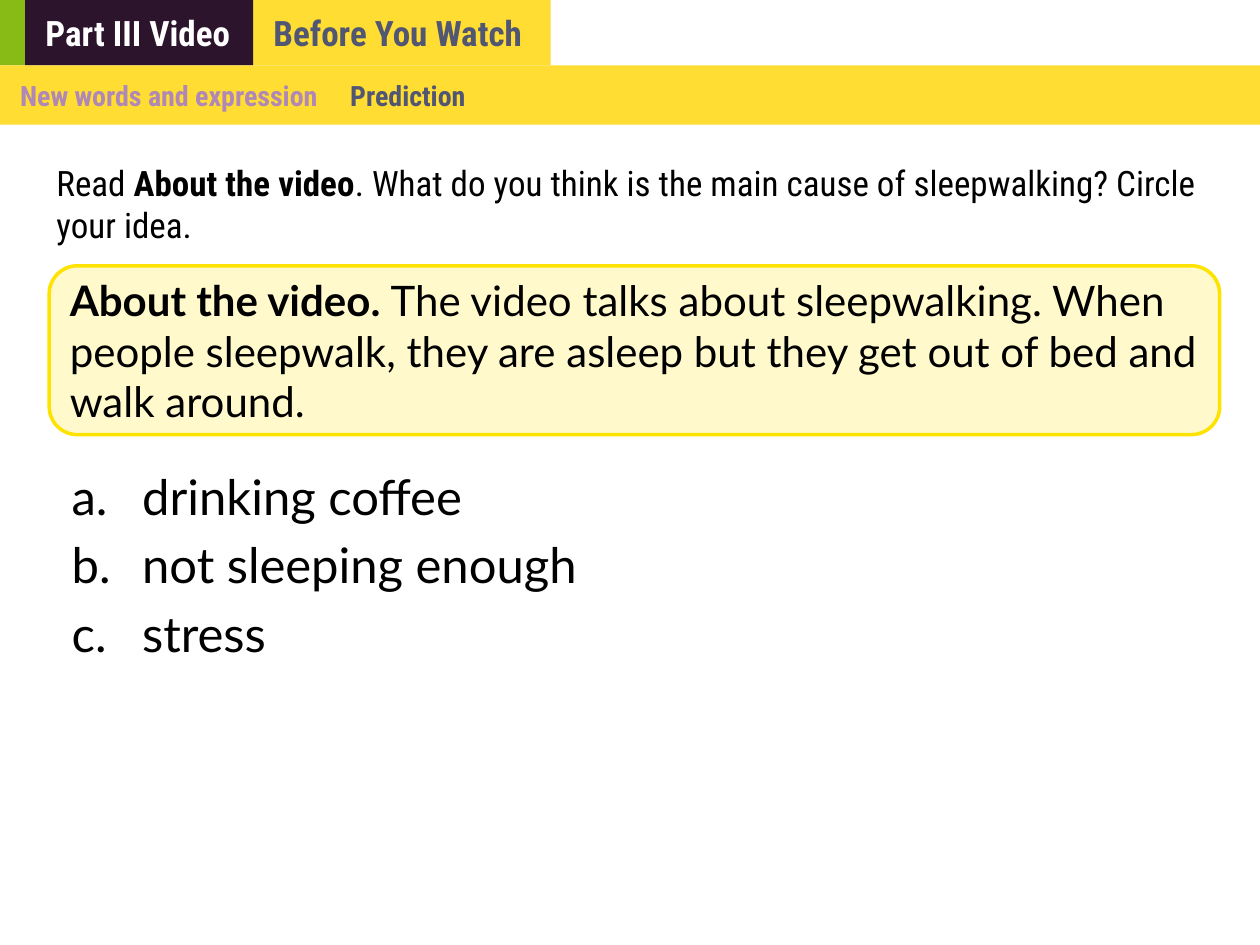
from pptx import Presentation
from pptx.dml.color import RGBColor
from pptx.enum.shapes import MSO_SHAPE as Shape
from pptx.enum.text import MSO_ANCHOR as Anchor, MSO_AUTO_SIZE as AutoSize, PP_ALIGN as Align
from pptx.oxml.ns import qn
from pptx.util import Inches, Pt
from lxml.etree import SubElement

HEADING, BODY = "Roboto Condensed", "Lato"
YELLOW, PLUM, GREEN, SLATE, LILAC = "FFDD33", "2C142C", "88BB16", "515672", "AF88B6"
CREAM, GOLD, BLACK, WHITE = "FFF9CC", "FEE200", "000000", "FFFFFF"


def rgb(value):
    return RGBColor.from_string(value)


class Lesson:
    """Places elements on a grid of 100 columns by 75 rows."""

    def __init__(self, prs):
        self.prs = prs
        self.slide = prs.slides.add_slide(prs.slide_layouts[5])

    def place(self, col, row, cols, rows):
        dx, dy = self.prs.slide_width / 100, self.prs.slide_height / 75
        return [round(v) for v in (col * dx, row * dy, cols * dx, rows * dy)]

    def add_runs(self, p, runs, font, size):
        """Adds runs given as (text, colour, bold)."""
        for text, color, bold in runs:
            r = p.add_run()
            r.text = text
            r.font.name, r.font.size, r.font.bold = font, Pt(size), bold
            r.font.color.rgb = rgb(color)

    def frame(self, sp, anchor, left=0.1):
        tf = sp.text_frame
        tf.word_wrap, tf.auto_size = True, AutoSize.NONE
        tf.vertical_anchor = anchor
        tf.margin_left, tf.margin_right = Inches(left), Inches(0.1)
        tf.margin_top = tf.margin_bottom = Inches(0.05)
        tf.paragraphs[0].alignment = Align.LEFT
        return tf

    def shape(self, box, fill, line=None, kind=Shape.RECTANGLE):
        s = self.slide.shapes.add_shape(kind, *self.place(*box))
        s.shadow.inherit = False
        s.fill.solid()
        s.fill.fore_color.rgb = rgb(fill)
        if line:
            s.line.color.rgb, s.line.width = rgb(line), Pt(2)
        else:
            s.line.fill.background()
        return s

    def band(self, box, fill, runs, size, tab=None):
        s = self.shape(box, fill)
        p = self.frame(s, Anchor.MIDDLE, 0.16).paragraphs[0]
        if tab:
            tabs = SubElement(p._p.get_or_add_pPr(), qn("a:tabLst"))
            SubElement(tabs, qn("a:tab"), pos=str(Inches(tab)), algn="l")
        self.add_runs(p, runs, HEADING, size)

    def title(self, box, fill, text, color):
        s = self.slide.shapes.title
        s.left, s.top, s.width, s.height = self.place(*box)
        s.fill.solid()
        s.fill.fore_color.rgb = rgb(fill)
        p = self.frame(s, Anchor.MIDDLE, 0.16).paragraphs[0]
        self.add_runs(p, [(text, color, True)], HEADING, 20)

    def text_box(self, box):
        s = self.slide.shapes.add_textbox(*self.place(*box))
        return self.frame(s, Anchor.TOP)

    def instruction(self, box, runs):
        self.add_runs(self.text_box(box).paragraphs[0], runs, HEADING, 20)

    def callout(self, box, runs):
        s = self.shape(box, CREAM, GOLD, Shape.ROUNDED_RECTANGLE)
        self.add_runs(self.frame(s, Anchor.MIDDLE).paragraphs[0], runs, BODY, 24)

    def choices(self, box, items):
        """Adds a list lettered a., b., c."""
        tf = self.text_box(box)
        indent = Inches(0.56)
        for i, item in enumerate(items):
            p = tf.add_paragraph() if i else tf.paragraphs[0]
            pPr = p._p.get_or_add_pPr()
            pPr.set("marL", str(indent))
            pPr.set("indent", str(-indent))
            SubElement(pPr, qn("a:buFont"), typeface=BODY)
            SubElement(pPr, qn("a:buAutoNum"), type="alphaLcPeriod")
            if i:
                p.space_before = Pt(5.6)
            self.add_runs(p, [(item, BLACK, False)], BODY, 28)


def main():
    prs = Presentation()
    prs.slide_width, prs.slide_height = Inches(10), Inches(7.5)
    page = Lesson(prs)
    page.shape((0, 0, 2, 5.2), GREEN)
    page.title((20.1, 0, 23.6, 5.2), YELLOW, "Before You Watch", SLATE)
    page.band((2, 0, 18.1, 5.2), PLUM, [("Part III Video", WHITE, True)], 20)
    page.band((0, 5.2, 100, 4.7), YELLOW,
              [("New words and expression", LILAC, True), ("\tPrediction", SLATE, True)],
              16, tab=2.62)
    page.instruction((3.5, 12.3, 93.7, 8), [
        ("Read ", BLACK, False),
        ("About the video", BLACK, True),
        (". What do you think is the main cause of sleepwalking? Circle your idea.",
         BLACK, False)])
    page.callout((3.9, 21.1, 92.9, 13.4), [
        ("About the video. ", BLACK, True),
        ("The video talks about sleepwalking. When people sleepwalk, they are asleep "
         "but they get out of bed and walk around.", BLACK, False)])
    page.choices((4.7, 36.5, 91.8, 22.1),
                 ["drinking coffee", "not sleeping enough", "stress"])
    prs.save("out.pptx")


if __name__ == "__main__":
    main()
